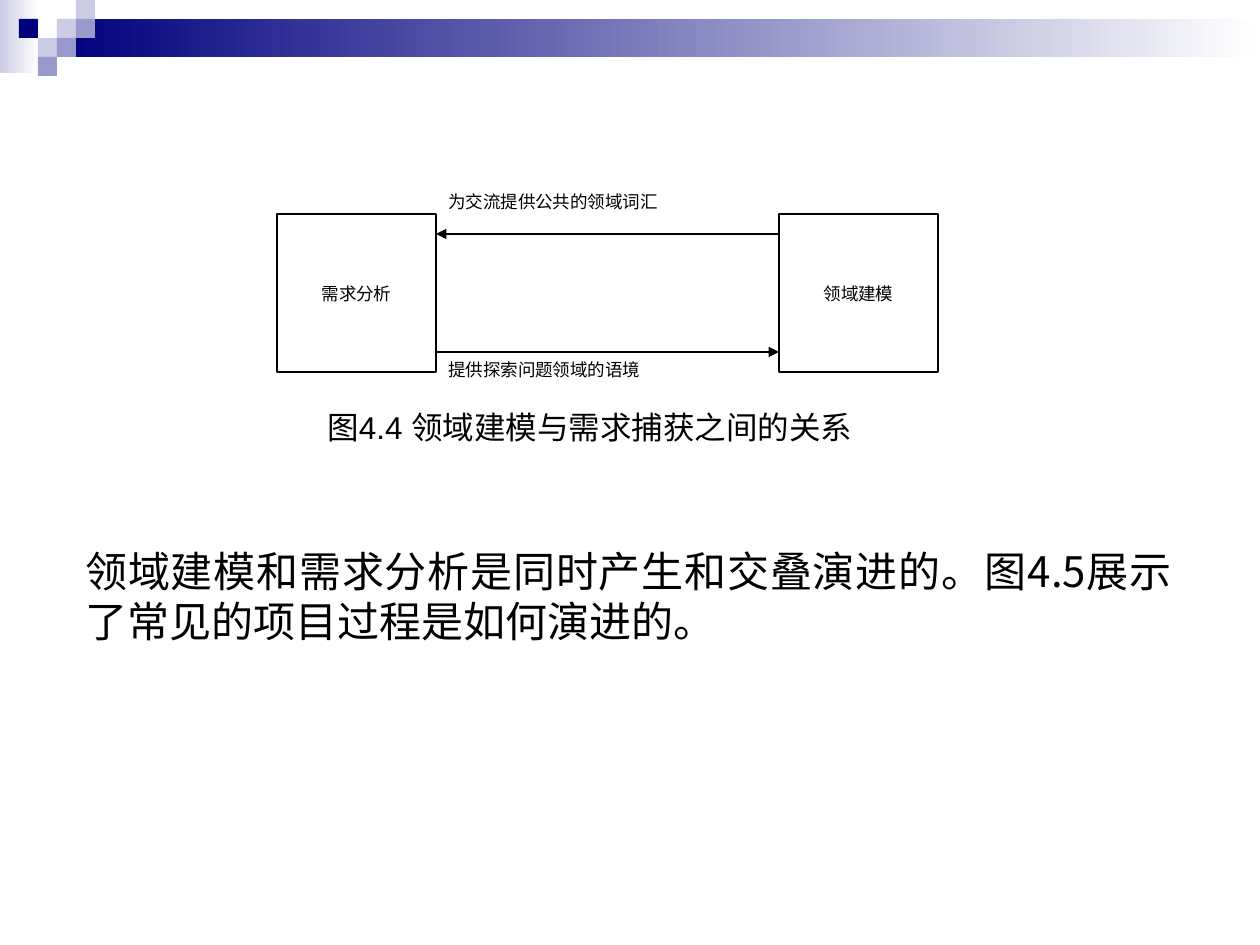
from lxml import etree
from pptx import Presentation
from pptx import util as u
from pptx.dml.color import RGBColor
from pptx.enum import shapes, text
from pptx.oxml.ns import qn

PX = 914400 // 126
NAVY, LILAC, VIOLET = "00007D", "CCCCE6", "9999CC"
BLACK, WHITE = "000000", "FFFFFF"
CJK = "Noto Sans CJK SC"


def emu(*lengths):
    return [u.Emu(n * PX) for n in lengths]


def color(hex_string):
    return RGBColor.from_string(hex_string)


def write(shape, words, size=10, font="Times New Roman",
          align=text.PP_ALIGN.LEFT, anchor=text.MSO_ANCHOR.TOP):
    frame = shape.text_frame
    frame.word_wrap = True
    frame.vertical_anchor = anchor
    paragraph = frame.paragraphs[0]
    paragraph.alignment = align
    run = paragraph.add_run()
    run.text = words
    run.font.size = u.Pt(size)
    run.font.name = font
    run.font.color.rgb = color(BLACK)
    east_asian = etree.SubElement(run.font._element, qn("a:ea"))
    east_asian.set("typeface", CJK)


class Canvas:
    def __init__(self, slide, line_width=0.75):
        self.slide = slide
        self.line_width = u.Pt(line_width)

    def block(self, x, y, w, h, fill, fade_to=None, outline=None):
        shape = self.slide.shapes.add_shape(
            shapes.MSO_SHAPE.RECTANGLE, *emu(x, y, w, h))
        shape.shadow.inherit = False
        if fade_to:
            shape.fill.gradient()
            shape.fill.gradient_angle = 0
            for stop, shade in zip(shape.fill.gradient_stops, (fill, fade_to)):
                stop.color.rgb = color(shade)
        else:
            shape.fill.solid()
            shape.fill.fore_color.rgb = color(fill)
        if outline:
            shape.line.color.rgb = color(outline)
            shape.line.width = self.line_width
        else:
            shape.line.fill.background()
        return shape

    def node(self, x, y, w, h, words):
        write(self.block(x, y, w, h, WHITE, outline=BLACK), words,
              align=text.PP_ALIGN.CENTER, anchor=text.MSO_ANCHOR.MIDDLE)

    def label(self, x, y, w, h, words, **style):
        write(self.slide.shapes.add_textbox(*emu(x, y, w, h)), words, **style)

    def arrow(self, x1, x2, y):
        line = self.slide.shapes.add_connector(
            shapes.MSO_CONNECTOR.STRAIGHT, *emu(x1, y, x2, y))
        line.line.color.rgb = color(BLACK)
        line.line.width = self.line_width
        head = etree.SubElement(line.line._get_or_add_ln(), qn("a:tailEnd"))
        head.set("type", "triangle")
        etree.SubElement(line._element.spPr, qn("a:effectLst"))


def main():
    deck = Presentation()
    deck.slide_width, deck.slide_height = emu(1260, 945)
    canvas = Canvas(deck.slides.add_slide(deck.slide_layouts[6]))

    # Banner: two fades and a mosaic of square tiles
    tile = 19
    canvas.block(0, 0, 39, 73, LILAC, fade_to=WHITE)
    canvas.block(3 * tile, tile, 1260 - 3 * tile, 2 * tile, NAVY, fade_to=WHITE)
    mosaic = [(3, 1, LILAC), (4, 0, LILAC), (4, 1, VIOLET), (2, 2, LILAC),
              (1, 1, NAVY), (3, 2, VIOLET), (2, 3, VIOLET)]
    for column, row, shade in mosaic:
        canvas.block(column * tile, row * tile, tile, tile, shade)

    # Relationship diagram
    analysis_x, modeling_x, node_y, node_w, node_h = 277, 779, 214, 159, 158
    analysis_right = analysis_x + node_w
    canvas.node(analysis_x, node_y, node_w, node_h, "需求分析")
    canvas.node(modeling_x, node_y, node_w, node_h, "领域建模")
    canvas.arrow(analysis_right, modeling_x, node_y + node_h - 20)
    canvas.arrow(modeling_x, analysis_right, node_y + 20)
    canvas.label(analysis_right, 185, 364, 69, "为交流提供公共的领域词汇")
    canvas.label(analysis_right, 353, 364, 69, "提供探索问题领域的语境")

    # Caption and explanation
    canvas.label(315, 402, 714, 88, "图4.4 领域建模与需求捕获之间的关系",
                 size=18, font="Arial")
    canvas.label(73, 539, 1111, 113,
                 "领域建模和需求分析是同时产生和交叠演进的。"
                 "图4.5展示了常见的项目过程是如何演进的。",
                 size=24, font=CJK, align=text.PP_ALIGN.JUSTIFY)

    deck.save("out.pptx")


if __name__ == "__main__":
    main()
